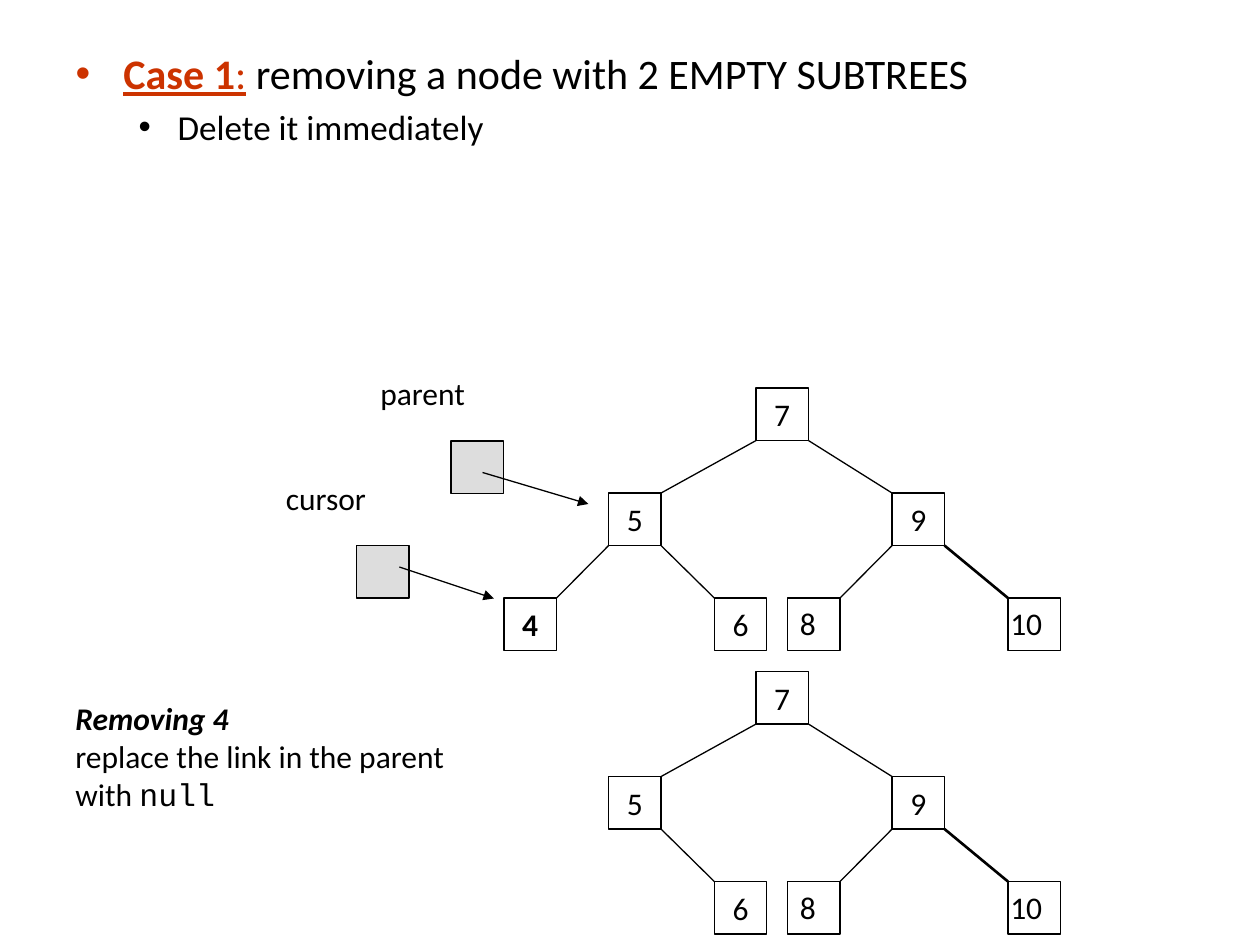
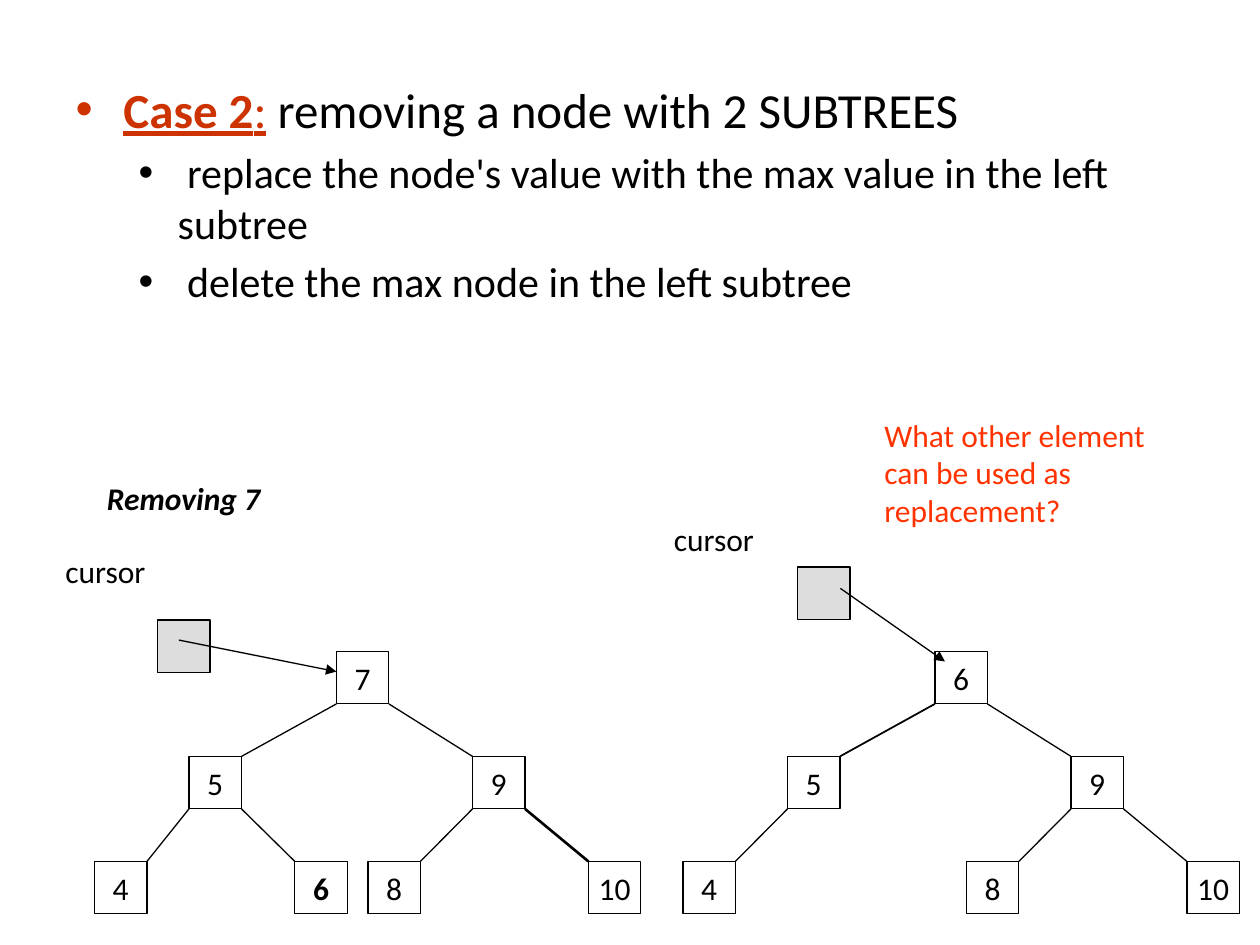
from dataclasses import dataclass

from lxml import etree
from pptx import Presentation
from pptx.dml.color import RGBColor
from pptx.enum.shapes import MSO_CONNECTOR, MSO_SHAPE
from pptx.enum.text import MSO_ANCHOR, MSO_AUTO_SIZE, PP_ALIGN
from pptx.oxml.ns import qn
from pptx.util import Inches, Pt

STRAIGHT = MSO_CONNECTOR.STRAIGHT
RECTANGLE = MSO_SHAPE.RECTANGLE
MIDDLE = MSO_ANCHOR.MIDDLE
FIXED_SIZE, GROW = MSO_AUTO_SIZE.NONE, MSO_AUTO_SIZE.SHAPE_TO_FIT_TEXT
LEFT, CENTER = PP_ALIGN.LEFT, PP_ALIGN.CENTER


@dataclass(frozen=True)
class Theme:
    ink: str = "000000"
    case: str = "CC3300"
    question: str = "FF3300"
    pointer: str = "DDDDDD"
    font: str = "Calibri"
    code_font: str = "Courier New"
    label_size: int = 18
    thin: float = 0.75
    medium: float = 1
    heavy: float = 1.5


THEME = Theme()
NODE = 5 / 12          # side of a tree node, in inches
LEVEL = 2 * NODE       # distance from one tree level to the next

# Tree positions: parent, level, horizontal offset from the root
TREE_SLOTS = {
    "root": (None, 0, 0),
    "left": ("root", 1, -1.17),
    "right": ("root", 1, 1.08),
    "left_left": ("left", 2, -2),
    "left_right": ("left", 2, -0.33),
    "right_left": ("right", 2, 0.25),
    "right_right": ("right", 2, 2),
}

# Bullet indents by level: left margin and hanging first line
BULLET_INDENTS = [(0.38, -0.38), (0.81, -0.31)]


def write(paragraph, text, size=THEME.label_size, color=THEME.ink, font=THEME.font,
          bold=False, italic=False, underline=False):
    run = paragraph.add_run()
    run.text = text
    run.font.size = Pt(size)
    run.font.name = font
    run.font.color.rgb = RGBColor.from_string(color)
    run.font.bold = bold
    run.font.italic = italic
    run.font.underline = underline


class Deck:
    def __init__(self, theme):
        self.theme = theme
        self.presentation = Presentation()
        self.presentation.slide_width = Inches(10)
        self.presentation.slide_height = Inches(7.5)
        self.slide = None

    def add_slide(self):
        layout = self.presentation.slide_layouts[1]
        self.slide = self.presentation.slides.add_slide(layout)
        title = self.slide.shapes.title.element
        title.getparent().remove(title)

    def case_list(self, top, height, size, case, rest, steps):
        """Fill the body with the case heading and its steps one level down."""
        body = self.slide.placeholders[1]
        body.left, body.top = Inches(0.5), Inches(top)
        body.width, body.height = Inches(9), Inches(height)
        frame = body.text_frame
        frame.auto_size = FIXED_SIZE
        heading = frame.paragraphs[0]
        self.bullet(heading, 0)
        heading.space_before = Pt(0)
        write(heading, case, size, self.theme.case, bold=True, underline=True)
        write(heading, ":", size, self.theme.case, underline=True)
        write(heading, rest, size)
        step_size = size - 4
        for step in steps:
            paragraph = frame.add_paragraph()
            self.bullet(paragraph, 1)
            paragraph.space_before = Pt(0.2 * step_size)
            write(paragraph, step, step_size)

    def bullet(self, paragraph, level):
        paragraph.level = level
        margin, hanging = BULLET_INDENTS[level]
        properties = paragraph._p.get_or_add_pPr()
        properties.set("marL", str(Inches(margin)))
        properties.set("indent", str(Inches(hanging)))
        etree.SubElement(properties, qn("a:buChar")).set("char", "•")

    def label(self, left, top, width, *lines, height=0.5, wrap=False, **style):
        """Each line is a text, or a list of (text, format) pairs."""
        box = self.slide.shapes.add_textbox(
            Inches(left), Inches(top), Inches(width), Inches(height))
        frame = box.text_frame
        frame.word_wrap = wrap
        frame.auto_size = GROW
        for index, line in enumerate(lines):
            paragraph = frame.add_paragraph() if index else frame.paragraphs[0]
            paragraph.alignment = LEFT
            parts = [(line, style)] if isinstance(line, str) else line
            for text, part_style in parts:
                write(paragraph, text, **part_style)

    def square(self, left, top, text="", fill=None, bold=False):
        square = self.slide.shapes.add_shape(
            RECTANGLE, Inches(left), Inches(top), Inches(NODE), Inches(NODE))
        square.shadow.inherit = False
        if fill:
            square.fill.solid()
            square.fill.fore_color.rgb = RGBColor.from_string(fill)
        else:
            square.fill.background()
        square.line.color.rgb = RGBColor.from_string(self.theme.ink)
        square.line.width = Pt(self.theme.thin)
        if text:
            frame = square.text_frame
            frame.word_wrap = False
            frame.vertical_anchor = MIDDLE
            frame.paragraphs[0].alignment = CENTER
            write(frame.paragraphs[0], text, bold=bold)

    def line(self, start, end, width=THEME.thin, arrow=False):
        line = self.slide.shapes.add_connector(
            STRAIGHT, *(Inches(value) for value in (*start, *end)))
        line.line.color.rgb = RGBColor.from_string(self.theme.ink)
        line.line.width = Pt(width)
        if arrow:
            tail = etree.SubElement(line.line._get_or_add_ln(), qn("a:tailEnd"))
            tail.set("type", "triangle")
        etree.SubElement(line._element.spPr, qn("a:effectLst"))

    def pointer(self, left, top, start, end):
        self.square(left, top, fill=self.theme.pointer)
        self.line(start, end, arrow=True)

    def tree(self, left, top, values, bold=None, widths=None, shifts=None, loose=None):
        """Draw the given slots; loose maps a slot to its label's offset and width."""
        widths, shifts, loose = widths or {}, shifts or {}, loose or {}
        places = {
            slot: (left + offset + shifts.get(slot, 0), top + level * LEVEL)
            for slot, (_, level, offset) in TREE_SLOTS.items()
        }
        for slot, value in values.items():
            x, y = places[slot]
            parent = TREE_SLOTS[slot][0]
            if parent:
                parent_x, parent_y = places[parent]
                is_left = x < parent_x
                self.line((parent_x + (0 if is_left else NODE), parent_y + NODE),
                          (x + (NODE if is_left else 0), y),
                          widths.get(slot, self.theme.thin))
            if slot in loose:
                offset, width, wrap = loose[slot]
                self.square(x, y)
                self.label(x + offset, y, width, value, wrap=wrap)
            else:
                self.square(x, y, value, bold=slot == bold)


def build_empty_subtrees(deck):
    deck.add_slide()
    deck.case_list(0.33, 6.37, 24, "Case 1", " removing a node with 2 EMPTY SUBTREES",
                   ["Delete it immediately"])

    # Tree before and after the removal
    after = {"root": "7", "left": "5", "right": "9",
             "left_right": "6", "right_left": "8", "right_right": "10"}
    before = {**after, "left_left": "4"}
    for top, values in ((3.08, before), (5.33, after)):
        deck.tree(6, top, values, bold="left_left",
                  widths={"right_right": THEME.heavy},
                  loose={"right_left": (0, 0.37, False),
                         "right_right": (-0.08, 0.6, True)})

    # Pointers into the first tree
    deck.label(2.92, 2.92, 1.03, "parent")
    deck.pointer(3.58, 3.5, (3.83, 3.75), (4.67, 4))
    deck.label(2.17, 3.75, 1.03, "cursor")
    deck.pointer(2.83, 4.33, (3.17, 4.5), (3.92, 4.75))

    # Explanation
    deck.label(0.5, 5.5, 3.58,
               [("Removing 4", {"bold": True, "italic": True})],
               [("replace the link in the parent with ", {}),
                ("null", {"font": THEME.code_font})],
               height=1.7, wrap=True)


def build_two_subtrees(deck):
    deck.add_slide()
    deck.case_list(0.58, 6.12, 28, "Case 2", " removing a node with 2 SUBTREES",
                   [" replace the node's value with the max value in the left subtree",
                    " delete the max node in the left subtree"])

    # Tree before and after the replacement
    shared = {"left": "5", "right": "9", "left_left": "4",
              "right_left": "8", "right_right": "10"}
    deck.tree(2.67, 5.17, {"root": "7", **shared, "left_right": "6"},
              bold="left_right", widths={"right_right": THEME.heavy},
              shifts={"left_left": 0.08})
    deck.tree(7.42, 5.17, {"root": "6", **shared}, widths={"left": THEME.medium})

    # Cursors
    deck.label(0.42, 4.33, 1.03, "cursor")
    deck.pointer(1.25, 4.92, (1.42, 5.08), (2.67, 5.33))
    deck.label(5.25, 4.08, 1.03, "cursor")
    deck.pointer(6.33, 4.5, (6.67, 4.67), (7.5, 5.25))

    # Caption and question
    deck.label(0.75, 3.75, 2.01, "Removing 7", wrap=True, bold=True, italic=True)
    deck.label(6.92, 3.25, 2.82, "What other element", "can be used as",
               "replacement?", height=1.3, color=THEME.question)


def main():
    deck = Deck(THEME)
    build_empty_subtrees(deck)
    build_two_subtrees(deck)
    deck.presentation.save("out.pptx")


if __name__ == "__main__":
    main()
